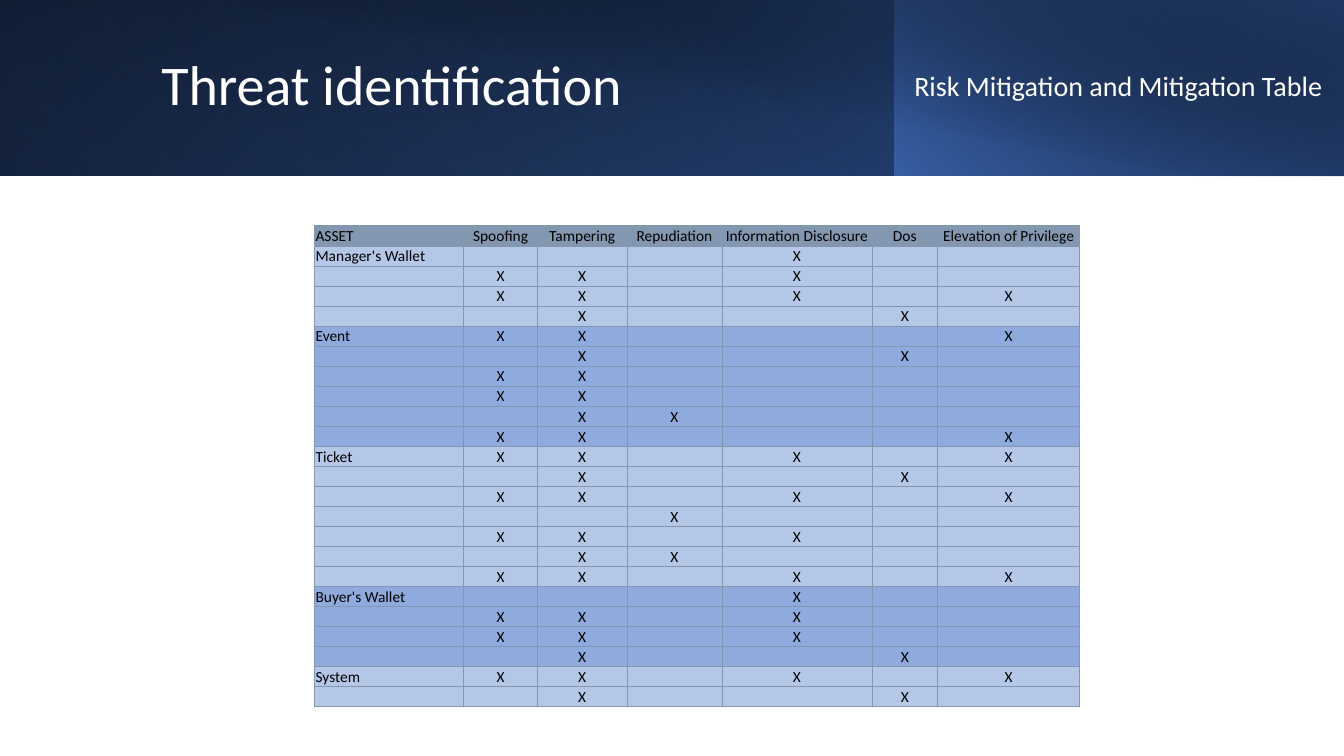
from lxml.etree import SubElement
from pptx import Presentation
from pptx.dml.color import RGBColor
from pptx.enum.shapes import MSO_SHAPE
from pptx.enum.text import MSO_ANCHOR, MSO_AUTO_SIZE, PP_ALIGN
from pptx.oxml.ns import qn
from pptx.util import Inches, Pt

COLORS = {
    "black": "000000", "white": "FFFFFF", "navy": "203864", "royal": "2F5597",
    "blue": "4472C4", "header": "8497B0", "light": "B4C7E7", "medium": "8FAADC",
}

# Column heading and width; each threat is keyed by its STRIDE letter
ASSET_COLUMN = ("ASSET", 1.48)
THREATS = {
    "S": ("Spoofing", 0.73),
    "T": ("Tampering", 0.89),
    "R": ("Repudiation", 0.94),
    "I": ("Information Disclosure", 1.49),
    "D": ("Dos", 0.65),
    "E": ("Elevation of Privilege", 1.41),
}
# One entry per row: the threats that are marked
ASSETS = {
    "Manager's Wallet": ["I", "STI", "STIE", "TD"],
    "Event": ["STE", "TD", "ST", "ST", "TR", "STE"],
    "Ticket": ["STIE", "TD", "STIE", "R", "STI", "TR", "STIE"],
    "Buyer's Wallet": ["I", "STI", "STI", "TD"],
    "System": ["STIE", "TD"],
}


class ThreatSlide:
    font = "Calibri"
    table_size = 11

    def __init__(self, prs):
        self.slide = prs.slides.add_slide(prs.slide_layouts[5])
        self.shapes = self.slide.shapes

    def style(self, paragraph, size, color):
        paragraph.font.name = self.font
        paragraph.font.size = Pt(size)
        paragraph.font.color.rgb = RGBColor.from_string(COLORS[color])

    def panel(self, left, width, height, angle, stops, flip="flipH"):
        """Gradient band; stops are (position, color, opacity) in percent."""
        band = self.shapes.add_shape(MSO_SHAPE.RECTANGLE, Inches(left), 0,
                                     Inches(width), Inches(height))
        band.shadow.inherit = False
        band.line.fill.background()
        band.fill.gradient()
        props = band._element.spPr
        if flip:
            props.find(qn("a:xfrm")).set(flip, "1")
        gradient = props.find(qn("a:gradFill"))
        gradient.set("rotWithShape", "1")
        gradient.find(qn("a:lin")).set("ang", str(angle * 60000))
        stop_list = gradient.find(qn("a:gsLst"))
        for old in list(stop_list):
            stop_list.remove(old)
        for position, color, opacity in stops:
            stop = SubElement(stop_list, qn("a:gs"), pos=str(position * 1000))
            fill = SubElement(stop, qn("a:srgbClr"), val=COLORS[color])
            if opacity < 100:
                SubElement(fill, qn("a:alpha"), val=str(opacity * 1000))

    def heading(self, shape, text, box, size, space_after=0):
        shape.left, shape.top, shape.width, shape.height = map(Inches, box)
        frame = shape.text_frame
        frame.word_wrap = True
        frame.auto_size = MSO_AUTO_SIZE.NONE
        frame.vertical_anchor = MSO_ANCHOR.MIDDLE
        frame.text = text
        paragraph = frame.paragraphs[0]
        paragraph.alignment = PP_ALIGN.LEFT
        paragraph.line_spacing = 0.9
        paragraph.space_after = Pt(space_after)
        self.style(paragraph, size, "white")

    def title(self, text, box, size):
        title = self.shapes.title
        self.shapes._spTree.append(title._element)  # bring above the panels
        self.heading(title, text, box, size)

    def subtitle(self, text, box, size):
        self.heading(self.shapes.add_textbox(0, 0, 0, 0), text, box, size, 6)

    def cell(self, cell, text, fill, align, anchor):
        cell.margin_left = cell.margin_right = cell.margin_top = Inches(0.01)
        cell.margin_bottom = 0
        cell.vertical_anchor = anchor
        cell.text = text
        paragraph = cell.text_frame.paragraphs[0]
        paragraph.alignment = align
        self.style(paragraph, self.table_size, "black")
        if not text:  # keeps the empty row low
            end = paragraph._p.get_or_add_endParaRPr()
            end.set("sz", str(self.table_size * 100))
        props = cell._tc.get_or_add_tcPr()
        for side in ("lnL", "lnR", "lnT", "lnB"):
            line = SubElement(props, qn(f"a:{side}"), w=str(Pt(0.5)))
            solid = SubElement(line, qn("a:solidFill"))
            SubElement(solid, qn("a:srgbClr"), val=COLORS["header"])
        cell.fill.solid()
        cell.fill.fore_color.rgb = RGBColor.from_string(COLORS[fill])

    def table(self, left, top, height, columns, rows):
        """Each row is (fill, texts, anchor of the threat cells)."""
        width = sum(w for _, w in columns)
        grid = self.shapes.add_table(len(rows), len(columns), Inches(left), Inches(top),
                                     Inches(width), Inches(height)).table
        grid.first_row = grid.horz_banding = False
        for column, (_, column_width) in zip(grid.columns, columns):
            column.width = Inches(column_width)
        for r, (fill, texts, anchor) in enumerate(rows):
            grid.rows[r].height = Inches(height / len(rows))
            for c, text in enumerate(texts):
                if c == 0:
                    self.cell(grid.cell(r, c), text, fill, PP_ALIGN.LEFT, MSO_ANCHOR.BOTTOM)
                else:
                    self.cell(grid.cell(r, c), text, fill, PP_ALIGN.CENTER, anchor)


def main():
    prs = Presentation()
    prs.slide_width, prs.slide_height = Inches(13.33), Inches(7.5)
    page = ThreatSlide(prs)

    # Header band
    page.panel(0, 13.33, 1.74, 140, [(0, "black", 100), (100, "royal", 100)])
    page.panel(0, 8.88, 1.74, 230, [(20, "blue", 0), (100, "navy", 55)], "flipV")
    page.panel(8.87, 4.46, 1.74, 220, [(0, "blue", 66), (100, "black", 30)])
    page.panel(0.5, 12.83, 1.75, 280, [(50, "black", 0), (99, "navy", 52)], None)
    page.title("Threat identification", (1.5, 0, 10.82, 1.74), 40)
    page.subtitle("Risk Mitigation and Mitigation Table", (8.97, 0, 4.7, 1.73), 20)

    # Threat table, with the fill alternating by asset
    columns = [ASSET_COLUMN, *THREATS.values()]
    rows = [("header", [name for name, _ in columns], MSO_ANCHOR.BOTTOM)]
    for a, (asset, threat_rows) in enumerate(ASSETS.items()):
        fill = ("light", "medium")[a % 2]
        for i, marked in enumerate(threat_rows):
            marks = ["X" if letter in marked else "" for letter in THREATS]
            rows.append((fill, ["" if i else asset, *marks], MSO_ANCHOR.MIDDLE))
    page.table(3.12, 2.24, 4.76, columns, rows)

    prs.save("out.pptx")


if __name__ == "__main__":
    main()
